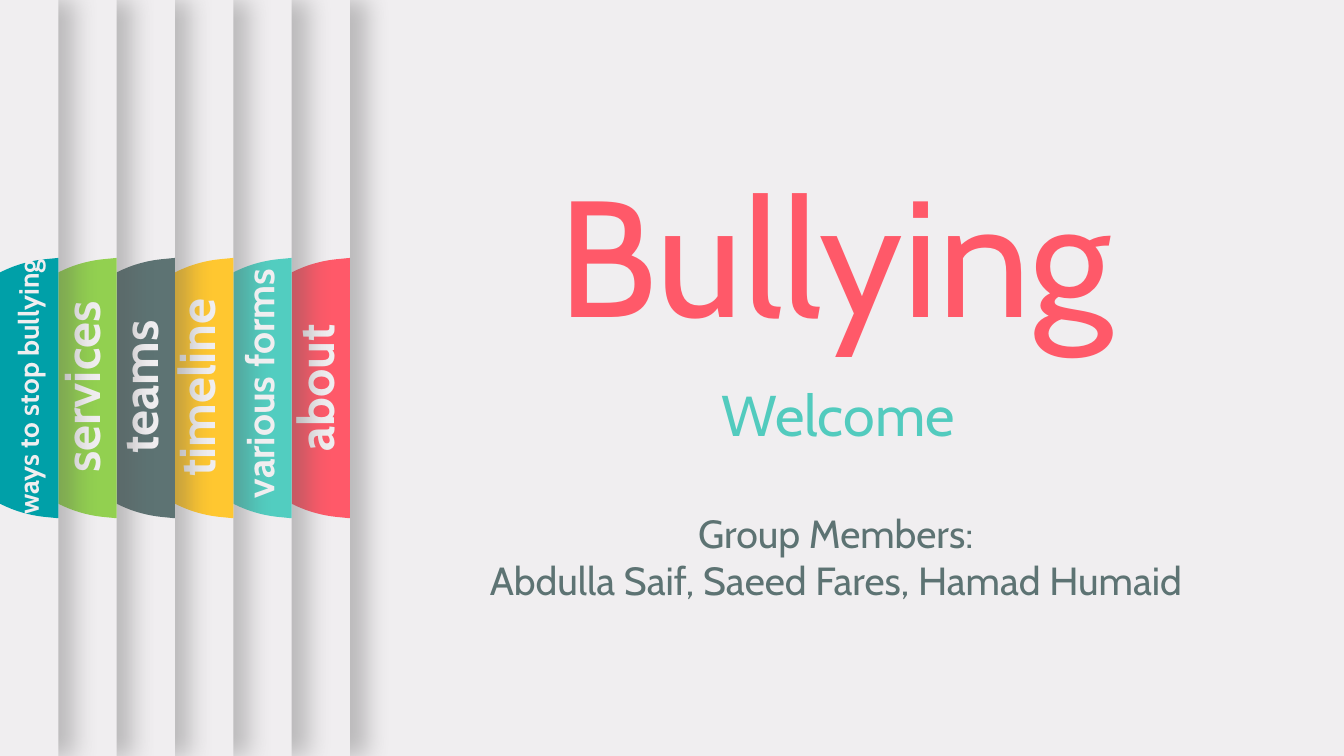
import pptx
import pptx.dml.color
import pptx.enum.shapes
import pptx.enum.text
import pptx.oxml
import pptx.oxml.ns
import pptx.util

Cm = pptx.util.Cm
COLOURS = {
    "paper": "F0EEF0", "shadow": "595959", "red": "FF5969", "mint": "52CBBE",
    "turquoise": "52CDC0", "yellow": "FFC730", "slate": "5D7373",
    "green": "92D050", "teal": "00A0A8",
}


def colour(name):
    return pptx.dml.color.RGBColor.from_string(COLOURS[name])


def write(box, text, size, ink, bold=False):
    frame = box.text_frame
    frame.text = text
    frame.word_wrap = True
    frame.auto_size = pptx.enum.text.MSO_AUTO_SIZE.SHAPE_TO_FIT_TEXT
    frame.vertical_anchor = pptx.enum.text.MSO_ANCHOR.TOP
    for para in frame.paragraphs:
        para.alignment = pptx.enum.text.PP_ALIGN.CENTER
        for span in para.runs:
            span.font.name = "Cabin"
            span.font.size = pptx.util.Pt(size)
            span.font.bold = bold
            span.font.color.rgb = colour(ink)


deck = pptx.Presentation()
deck.slide_width, deck.slide_height = Cm(33.87), Cm(19.05)
page = deck.slides.add_slide(deck.slide_layouts[5])
page.background.fill.solid()
page.background.fill.fore_color.rgb = colour("paper")

# Title, greeting and group members
title = page.shapes.title
title.left, title.top, title.width, title.height = Cm(10.95), Cm(3.71), Cm(20.22), Cm(5.31)
write(title, "Bullying", 118, "red")
welcome = page.shapes.add_textbox(Cm(11.02), Cm(9.43), Cm(20.22), Cm(2.01))
write(welcome, "Welcome", 41, "mint")
members = page.shapes.add_textbox(Cm(10.95), Cm(12.7), Cm(20.22), Cm(2.64))
write(members, "Group Members:\nAbdulla Saif, Saeed Fares, Hamad Humaid", 28, "slate")

# Stacked panels, front one last: left edge, tab colour, label,
# label size, label length and height, label centre from the right edge, centre height
panels = [
    (-25.83, "red", "about", 36, 5.54, 1.8, 0.89, 9.77),
    (-24.43, "turquoise", "various forms", 28, 9.58, 1.45, 0.82, 9.66),
    (-21.79, "yellow", "timeline", 36, 5.54, 1.8, 0.94, 9.77),
    (-22.17, "slate", "teams", 36, 5.54, 1.8, 0.9, 9.75),
    (-21.21, "green", "services", 36, 5.54, 1.8, 0.9, 9.75),
    (-26.09, "teal", "ways to stop bullying", 20, 15.44, 1.12, 0.76, 9.75),
]
PANEL_STEP = 1.47
TAB_CENTRE = 9.78
# Tab outline as distances left of the panel edge and below the tab centre
TAB_CORNERS = [(0, -3.28), (0, 3.28), (0.3, 3.25), (3.25, 0), (0.3, -3.25)]
TAB_CURVES = [
    [(1.96, 3.1), (3.25, 1.7), (3.25, 0)],
    [(3.25, -1.7), (1.96, -3.1), (0.3, -3.25)],
]

for index, (left, tint, label, size, length, height, inset, middle) in enumerate(panels):
    right = PANEL_STEP * (len(panels) - index)
    group = page.shapes.add_group_shape()

    # Panel with a soft shadow to the right
    panel = group.shapes.add_shape(
        pptx.enum.shapes.MSO_SHAPE.RECTANGLE, Cm(left), 0, Cm(right - left), deck.slide_height)
    panel.fill.solid()
    panel.fill.fore_color.rgb = colour("paper")
    panel.line.fill.background()
    panel.shadow.inherit = False
    effects = panel.element.spPr.find(pptx.oxml.ns.qn("a:effectLst"))
    effects.append(pptx.oxml.parse_xml(
        f'<a:outerShdw {pptx.oxml.ns.nsdecls("a")} blurRad="{pptx.util.Pt(17)}"'
        f' dist="{pptx.util.Pt(3)}" dir="0" sx="101000" algn="l" rotWithShape="0">'
        f'<a:srgbClr val="{COLOURS["shadow"]}"><a:alpha val="35000"/></a:srgbClr></a:outerShdw>'))

    # Half-round tab: straight outline first, then its left side is curved
    corners = [(Cm(right - x), Cm(TAB_CENTRE + y)) for x, y in TAB_CORNERS]
    outline = group.shapes.build_freeform(*corners[0])
    outline.add_line_segments(corners[1:], close=True)
    tab = outline.convert_to_shape()
    tab.fill.solid()
    tab.fill.fore_color.rgb = colour(tint)
    tab.line.fill.background()
    tab.shadow.inherit = False
    sides = list(tab.element.iter(pptx.oxml.ns.qn("a:lnTo")))[2:4]
    for side, curve in zip(sides, TAB_CURVES):
        points = "".join(
            f'<a:pt x="{Cm(3.25 - x)}" y="{Cm(3.28 + y)}"/>' for x, y in curve)
        side.getparent().replace(side, pptx.oxml.parse_xml(
            f'<a:cubicBezTo {pptx.oxml.ns.nsdecls("a")}>{points}</a:cubicBezTo>'))

    # Label reading upwards
    name = group.shapes.add_textbox(
        Cm(right - inset - length / 2), Cm(middle - height / 2), Cm(length), Cm(height))
    name.rotation = 270
    write(name, label, size, "paper", bold=True)
    if label == "various forms":
        top_label = name

# This label lies above every panel
page.shapes.element.append(top_label.element)

deck.save("out.pptx")
